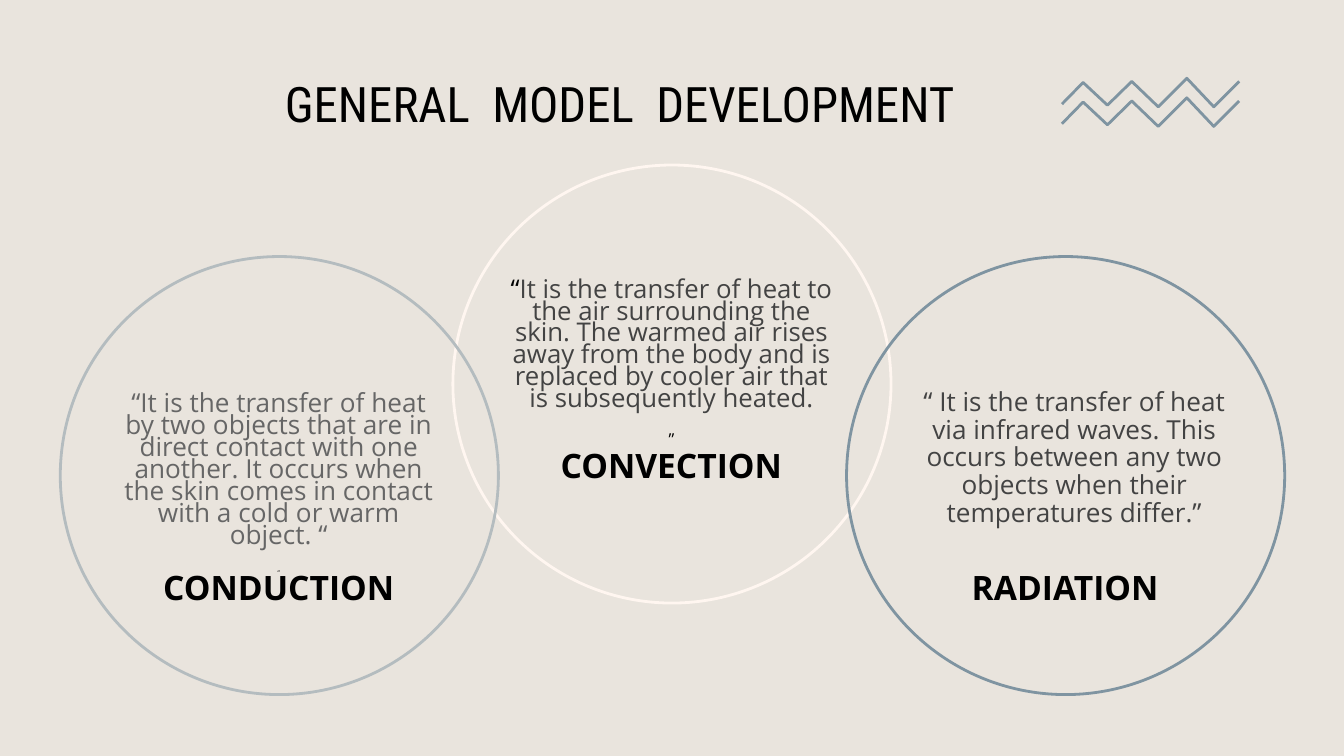
"""Build the slide on the three ways heat is transferred."""
from pptx import Presentation
from pptx import util as u
from pptx.dml.color import RGBColor
from pptx.enum import shapes, text

COLORS = {"sand": "E9E4DD", "cream": "FFF6F0", "mist": "B4BCBF", "slate": "7F94A1",
          "black": "000000", "gray": "666666", "dark": "434343"}
FONT = "Open Sans"
TITLE = ["GENERAL", "MODEL", "DEVELOPMENT"]
DIAMETER, INSET, BOX_W = 8.28, 0.84, 6.58
QUOTE_H, CAPTION_H = 4.37, 1.6

MODES = [
    {"name": "CONVECTION", "at": (8.56, 3.12), "ring": "cream", "caption_y": 5.05,
     "quote_y": 1.24, "quote_w": BOX_W, "size": 13.8, "spacing": 0.71, "mark": 8.8,
     "quote": [("“", "black"),
               ("It is the transfer of heat to the air surrounding the skin. The warmed air "
                "rises away from the body and is replaced by cooler air that is "
                "subsequently heated.", "dark")]},
    {"name": "CONDUCTION", "at": (1.14, 4.85), "ring": "mist", "caption_y": 5.61,
     "quote_y": 1.93, "quote_w": BOX_W, "size": 14, "spacing": 0.7, "mark": 3.5,
     "quote": [("“It is the transfer of heat by two objects that are in direct contact with "
                "one another. It occurs when the skin comes in contact with a cold or warm "
                "object. “", "gray")]},
    {"name": "RADIATION", "at": (16, 4.85), "ring": "slate", "caption_y": 5.61,
     "quote_y": 1.02, "quote_w": 6.93, "size": 14, "spacing": 0.89, "mark": None,
     "quote": [("“ It is the transfer of heat via infrared waves. This occurs between any "
                "two objects when their temperatures differ.”", "dark")]},
]
ZIGZAG = [(20.07, 2.34), (20.47, 1.93), (20.93, 2.36), (21.39, 1.91),
          (21.89, 2.39), (22.43, 1.85), (22.94, 2.39), (23.42, 1.91)]
ZIGZAG_RISES = [0, 0.37]


def rgb(name):
    return RGBColor.from_string(COLORS[name])


def outline(sp, color):
    sp.shadow.inherit = False
    sp.fill.background()
    sp.line.color.rgb = rgb(color)
    sp.line.width = u.Pt(1.5)


def frame(sp, anchor):
    tf = sp.text_frame
    tf.word_wrap = True
    tf.auto_size = text.MSO_AUTO_SIZE.NONE
    tf.vertical_anchor = anchor
    tf.margin_left = tf.margin_right = tf.margin_top = tf.margin_bottom = u.Cm(0.25)
    return tf


def style(p, size, font=FONT, bold=False, color="black", spacing=1.0):
    p.alignment = text.PP_ALIGN.CENTER
    p.line_spacing = spacing
    p.font.name, p.font.size, p.font.bold = font, u.Pt(size), bold
    p.font.color.rgb = rgb(color)


def add_ring(s, mode):
    x, y = mode["at"]
    sp = s.shapes.add_shape(shapes.MSO_SHAPE.OVAL, u.Cm(x), u.Cm(y),
                            u.Cm(DIAMETER), u.Cm(DIAMETER))
    outline(sp, mode["ring"])


def add_texts(s, mode):
    x, y = mode["at"]
    left = u.Cm(x + INSET)
    sp = s.shapes.add_textbox(left, u.Cm(y + mode["caption_y"]), u.Cm(BOX_W), u.Cm(CAPTION_H))
    p = frame(sp, text.MSO_ANCHOR.TOP).paragraphs[0]
    p.text = mode["name"]
    style(p, 18, bold=True)

    sp = s.shapes.add_textbox(left, u.Cm(y + mode["quote_y"]),
                              u.Cm(mode["quote_w"]), u.Cm(QUOTE_H))
    tf = frame(sp, text.MSO_ANCHOR.BOTTOM)
    p = tf.paragraphs[0]
    style(p, mode["size"], spacing=mode["spacing"])
    for words, color in mode["quote"]:
        r = p.add_run()
        r.text = words
        r.font.color.rgb = rgb(color)
    if mode["mark"]:
        p = tf.add_paragraph()
        p.text = "”"
        p.space_before = u.Pt(12)
        style(p, mode["mark"], spacing=mode["spacing"])


def add_zigzag(s, rise):
    points = [(u.Cm(x), u.Cm(y - rise)) for x, y in ZIGZAG]
    builder = s.shapes.build_freeform(*points[0])
    builder.add_line_segments(points[1:], close=False)
    outline(builder.convert_to_shape(), "slate")


def add_title(s):
    sp = s.shapes.title
    sp.left, sp.top, sp.width, sp.height = u.Cm(0.99), u.Cm(1.14), u.Cm(21.44), u.Cm(1.6)
    p = frame(sp, text.MSO_ANCHOR.TOP).paragraphs[0]
    style(p, 26.2, font="Roboto Condensed")
    for i, word in enumerate(TITLE):
        if i:
            gap = p.add_run()
            gap.text = " "
            gap.font._element.set("spc", "600")
        p.add_run().text = word


def main():
    prs = Presentation()
    prs.slide_width, prs.slide_height = u.Cm(25.4), u.Cm(14.29)
    s = prs.slides.add_slide(prs.slide_layouts[5])
    s.background.fill.solid()
    s.background.fill.fore_color.rgb = rgb("sand")
    for mode in MODES:
        add_ring(s, mode)
    for mode in MODES:
        add_texts(s, mode)
    for rise in ZIGZAG_RISES:
        add_zigzag(s, rise)
    add_title(s)
    prs.save("out.pptx")


if __name__ == "__main__":
    main()
